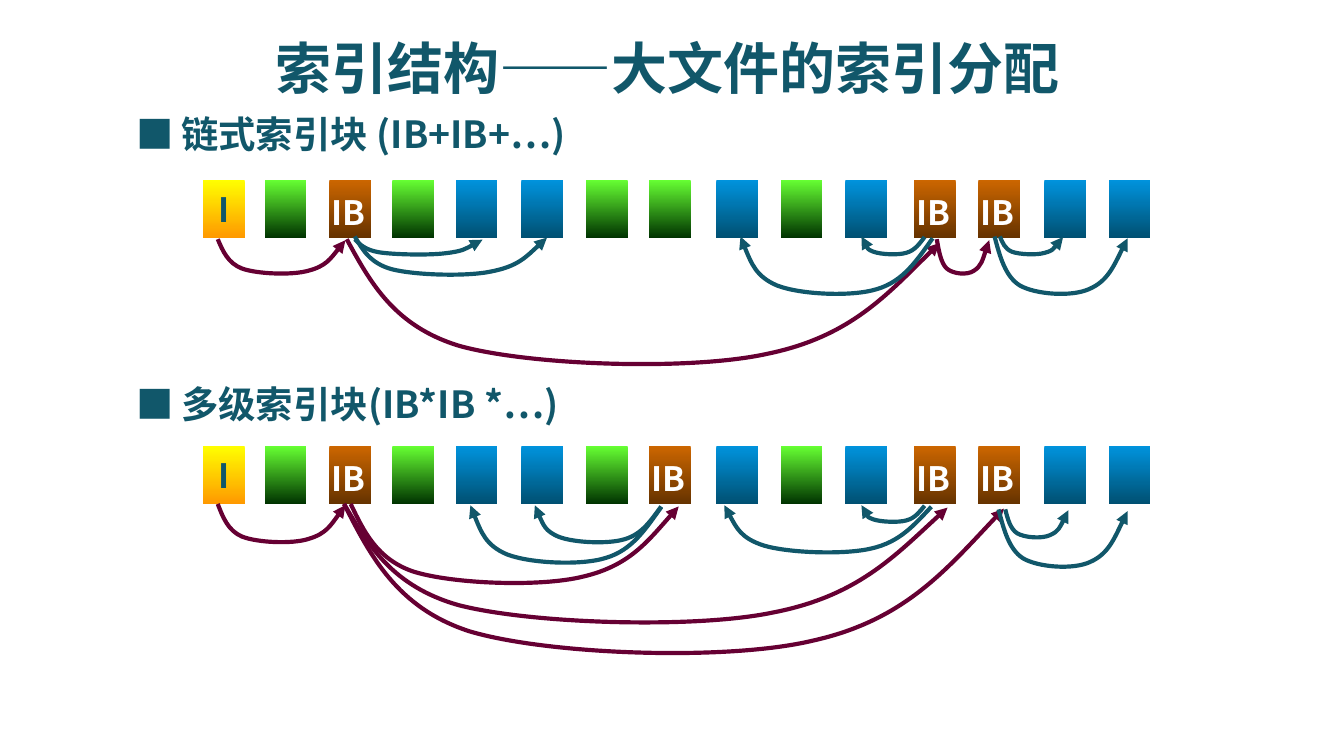
from lxml import etree
from pptx import Presentation
from pptx.dml.color import RGBColor
from pptx.enum.shapes import MSO_SHAPE
from pptx.enum.text import MSO_ANCHOR, PP_ALIGN
from pptx.oxml.ns import qn
from pptx.util import Inches, Pt

RECT = MSO_SHAPE.RECTANGLE
TOP, MIDDLE = MSO_ANCHOR.TOP, MSO_ANCHOR.MIDDLE
LEFT, CENTER = PP_ALIGN.LEFT, PP_ALIGN.CENTER
SANS, MARK = "Noto Sans CJK SC", "Noto Sans CJK JP"
TEAL, WINE, WHITE = "11576A", "660033", "FFFFFF"

deck = Presentation()
deck.slide_width = Inches(10)
deck.slide_height = deck.slide_width * 9 // 16
unit = deck.slide_width / 100  # all lengths are hundredths of the width
slide = deck.slides.add_slide(deck.slide_layouts[5])
shapes = slide.shapes


def grid(*parts):
    return [round(part * unit) for part in parts]


def write(shape, text, size=18, color=TEAL, font=SANS, align=LEFT, anchor=TOP):
    frame = shape.text_frame
    frame.word_wrap = True
    frame.vertical_anchor = anchor
    para = frame.paragraphs[0]
    para.alignment = align
    run = para.add_run()
    run.text = text
    run.font.size, run.font.bold = Pt(size), True
    run.font.color.rgb = RGBColor.from_string(color)
    run.font.name = font
    etree.SubElement(run.font._element, qn("a:ea"), typeface=font)


# Title
title = shapes.title
title.left, title.top, title.width, title.height = grid(4.7, 2.5, 90, 5.6)
title.text_frame.margin_top = title.text_frame.margin_bottom = 0
write(title, "索引结构——大文件的索引分配", size=30, align=CENTER)

# Block kinds: inode, other file, index block, data block
fills = {
    "I": ("FFFF00", "FF9900"),
    "G": ("66FF33", "003300"),
    "X": ("CC6600", "663300"),
    "B": ("0093DD", "005072"),
}
lefts = (15.1, 19.7, 24.5, 29.2, 33.9, 38.8, 43.6, 48.3,
         53.3, 58.1, 62.9, 68, 72.8, 77.7, 82.5)

# Each arc: left, drop below the blocks, width, depth, colour, arrow end
chain = [
    (16.2, 0.1, 9.5, 2.7, WINE, "tail"),
    (69.7, 0.1, 3.9, 2.7, WINE, "tail"),
    (25.8, 0.1, 44.1, 9.8, WINE, "tail"),
    (26.4, 0.1, 9.5, 1.2, TEAL, "tail"),
    (26.4, -0.1, 14.3, 3, TEAL, "tail"),
    (55.1, -0.1, 14.3, 4.5, TEAL, "head"),
    (64.1, -0.1, 4.7, 1.4, TEAL, "head"),
    (74.4, -0.1, 4.7, 1.4, TEAL, "tail"),
    (74, -0.1, 9.9, 4.5, TEAL, "tail"),
]
levels = [
    (16.2, 0, 9.5, 3, WINE, "tail"),
    (26.1, 0, 24.4, 6.2, WINE, "tail"),
    (25.6, 0, 44.9, 9.3, WINE, "tail"),
    (25.6, 0, 49.1, 11.7, WINE, "tail"),
    (74.8, 0.4, 4.7, 2.2, TEAL, "tail"),
    (74.3, 0.4, 9.6, 4.5, TEAL, "tail"),
    (53.9, 0.1, 15.4, 3.7, TEAL, "head"),
    (64.1, 0.1, 4.7, 1.3, TEAL, "head"),
    (39.8, 0.1, 9.4, 2.9, TEAL, "head"),
    (35, 0.1, 14.2, 4.5, TEAL, "head"),
]
# Control points shared by all arcs, as shares of width and depth
curve = [(0.04, 0.33), (0.08, 0.66), (0.19, 0.81),
         (0.31, 0.96), (0.58, 1), (0.71, 0.87),
         (0.85, 0.74), (0.92, 0.38), (1, 0.03)]

rows = [
    ("链式索引块 (IB+IB+…)", 7.8, 13.4, "IGXGBBGGBGBXXBB", chain),
    ("多级索引块(IB*IB *…)", 27.9, 33.2, "IGXGBBGXBGBXXBB", levels),
]
for name, head, top, kinds, arcs in rows:
    # Heading with its square mark
    write(shapes.add_textbox(*grid(12.5, head, 34.4, 4.7)), name, size=20)
    write(shapes.add_textbox(*grid(9.2, head, 4.7, 4.4)), "■", size=20, font=MARK)

    # Disk blocks
    for left, kind in zip(lefts, kinds):
        block = shapes.add_shape(RECT, *grid(left, top, 3.1, 4.3))
        block.shadow.inherit = False
        block.line.fill.background()
        block.fill.gradient()
        block.fill.gradient_angle = 270
        for stop, color in zip(block.fill.gradient_stops, fills[kind]):
            stop.color.rgb = RGBColor.from_string(color)
        if kind == "I":
            write(block, "I", align=CENTER, anchor=MIDDLE)
        if kind == "X":
            label = shapes.add_textbox(*grid(left - 0.8, top + 0.4, 6.3, 3.9))
            write(label, "IB", color=WHITE)

    # Pointers: an outline through the control points, turned into curves
    for left, drop, wide, deep, color, end in arcs:
        base = top + 4.3 + drop
        pen = shapes.build_freeform(*grid(left, base))
        pen.add_line_segments(
            [grid(left + x * wide, base + y * deep) for x, y in curve], close=False)
        arc = pen.convert_to_shape()
        arc.shadow.inherit = False
        arc.fill.background()
        arc.line.width = Pt(2.25)
        arc.line.color.rgb = RGBColor.from_string(color)
        etree.SubElement(arc.line._get_or_add_ln(), qn(f"a:{end}End"), type="triangle")
        track = next(arc._element.iter(qn("a:path")))
        lines = track.findall(qn("a:lnTo"))
        for i in range(0, len(lines), 3):
            bend = etree.SubElement(track, qn("a:cubicBezTo"))
            for line in lines[i:i + 3]:
                bend.append(line[0])
                track.remove(line)

deck.save("out.pptx")
